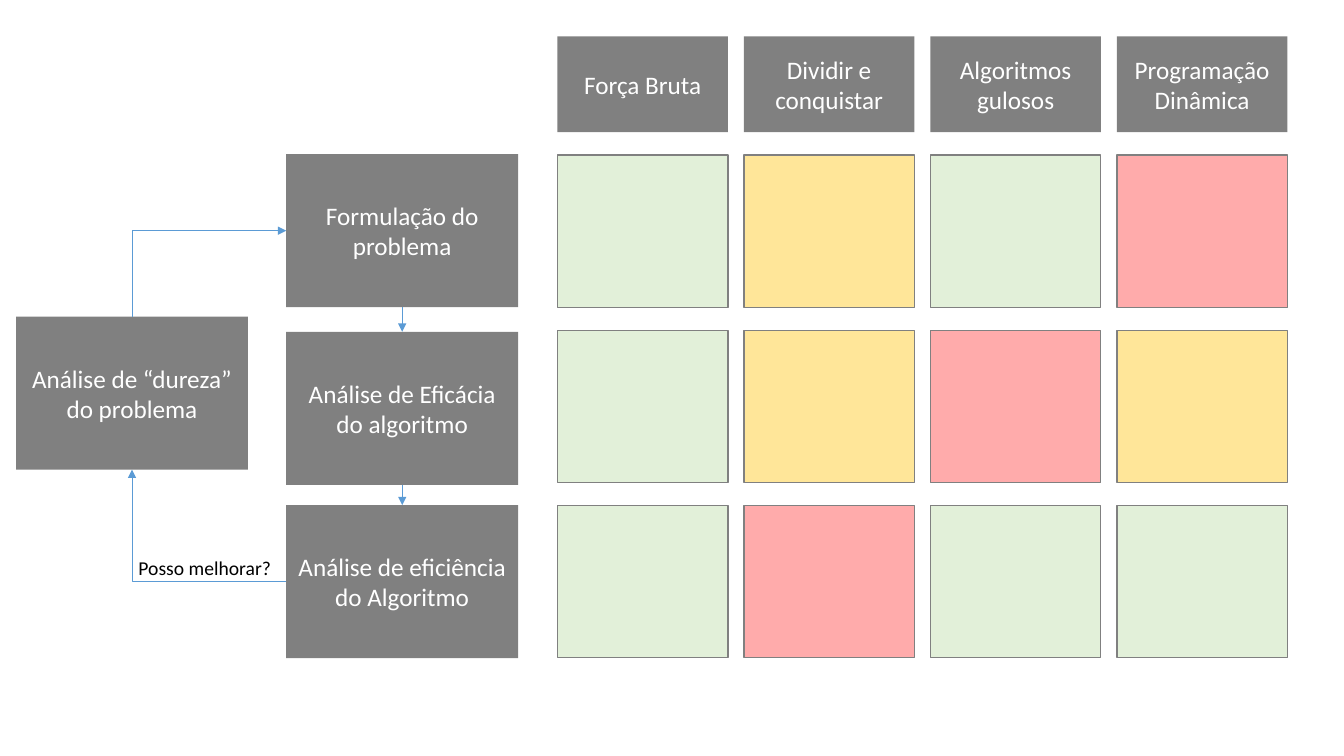
from lxml.etree import SubElement
from pptx import Presentation
from pptx.dml.color import RGBColor
from pptx.enum.shapes import MSO_CONNECTOR as LINK, MSO_SHAPE as SHAPE
from pptx.enum.text import MSO_ANCHOR as ANCHOR, PP_ALIGN as ALIGN
from pptx.oxml.ns import qn
from pptx.util import Pt

COLORS = {"gray": "808080", "white": "FFFFFF", "black": "000000", "arrow": "5B9BD5",
          "green": "E2F0D9", "yellow": "FFE699", "red": "FFABAB"}
FONT = "Calibri"

STEPS = [("Formulação do problema", 110.1),
         ("Análise de Eficácia do algoritmo", 237),
         ("Análise de eficiência do Algoritmo", 360.8)]
HARDNESS = "Análise de “dureza” do problema"
QUESTION = "Posso melhorar?"
TECHNIQUES = ["Força Bruta", "Dividir e conquistar", "Algoritmos gulosos", "Programação Dinâmica"]
RATINGS = [["green", "yellow", "green", "red"],
           ["green", "yellow", "red", "yellow"],
           ["green", "red", "green", "green"]]

STEP_LEFT, STEP_W, STEP_H = 204.5, 165.6, 109.4
HARDNESS_LEFT, HARDNESS_TOP = 11.5, 226.1
GRID_LEFT, GRID_TOP, COLUMN_PITCH, ROW_PITCH = 398.2, 110.8, 133.2, 125.1
CELL_W, CELL_H = 121.7, 108.9
HEADER_TOP, HEADER_H = 26, 68.4


def rgb(name):
    return RGBColor.from_string(COLORS[name])


def write(shape, text, size, color):
    frame = shape.text_frame
    frame.text = text
    font = frame.paragraphs[0].runs[0].font
    font.name, font.size, font.color.rgb = FONT, Pt(size), rgb(color)
    return frame


def add_box(slide, left, top, width, height, fill, text=""):
    box = slide.shapes.add_shape(SHAPE.RECTANGLE, Pt(left), Pt(top), Pt(width), Pt(height))
    box.shadow.inherit = False
    box.fill.solid()
    box.fill.fore_color.rgb = rgb(fill)
    if text:
        box.line.fill.background()
        frame = write(box, text, 18, "white")
        frame.word_wrap = True
        frame.vertical_anchor = ANCHOR.MIDDLE
        frame.paragraphs[0].alignment = ALIGN.CENTER
    else:
        box.line.color.rgb = rgb("gray")
        box.line.width = Pt(1)
    return box


def add_arrow(slide, start, start_side, end, end_side, kind=LINK.STRAIGHT, tip="tailEnd"):
    arrow = slide.shapes.add_connector(kind, 0, 0, 0, 0)
    arrow.begin_connect(start, start_side)
    arrow.end_connect(end, end_side)
    arrow.line.color.rgb = rgb("arrow")
    arrow.line.width = Pt(0.5)
    properties = arrow.element.spPr
    if kind == LINK.ELBOW:
        properties.find(qn("a:prstGeom")).set("prst", "bentConnector2")
    SubElement(properties.find(qn("a:ln")), qn(f"a:{tip}"), type="triangle")
    SubElement(properties, qn("a:effectLst"))


def main():
    """Build the slide that rates algorithm techniques against the analysis cycle."""
    deck = Presentation()
    deck.slide_width, deck.slide_height = Pt(960), Pt(540)
    slide = deck.slides.add_slide(deck.slide_layouts[6])

    formulation, efficacy, efficiency = [
        add_box(slide, STEP_LEFT, top, STEP_W, STEP_H, "gray", text) for text, top in STEPS]
    hardness = add_box(slide, HARDNESS_LEFT, HARDNESS_TOP, STEP_W, STEP_H, "gray", HARDNESS)

    add_arrow(slide, formulation, 2, efficacy, 0)
    add_arrow(slide, efficacy, 2, efficiency, 0)
    add_arrow(slide, efficiency, 1, hardness, 2, LINK.ELBOW)
    add_arrow(slide, formulation, 1, hardness, 0, LINK.ELBOW, tip="headEnd")

    question = slide.shapes.add_textbox(Pt(91.8), Pt(393.8), Pt(110.2), Pt(24.5))
    write(question, QUESTION, 14, "black").word_wrap = False

    for column, technique in enumerate(TECHNIQUES):
        left = GRID_LEFT + column * COLUMN_PITCH
        add_box(slide, left, HEADER_TOP, CELL_W, HEADER_H, "gray", technique)
        for row, ratings in enumerate(RATINGS):
            add_box(slide, left, GRID_TOP + row * ROW_PITCH, CELL_W, CELL_H, ratings[column])

    deck.save("out.pptx")


if __name__ == "__main__":
    main()
